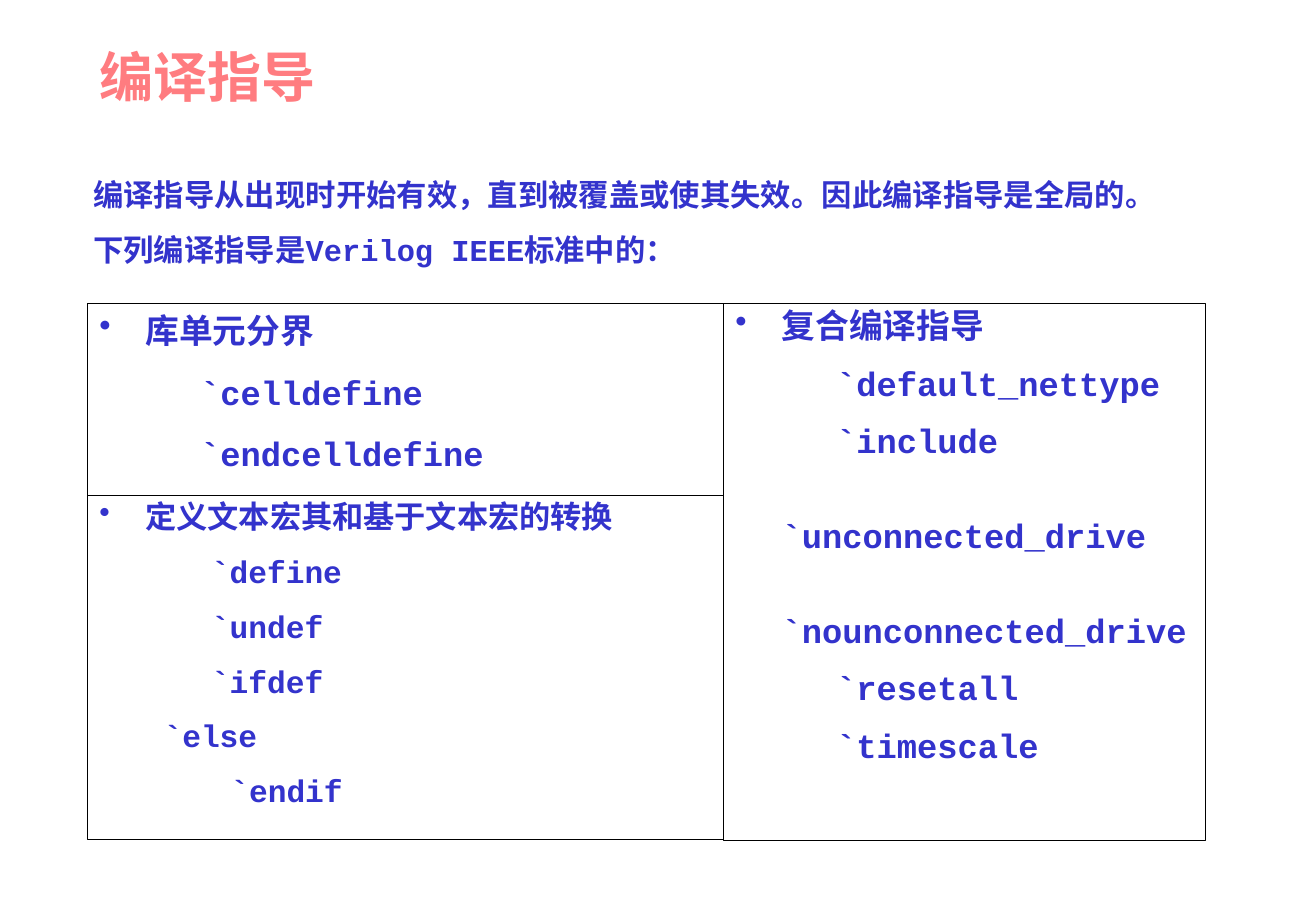
from dataclasses import dataclass

from lxml.etree import SubElement
from pptx import Presentation
from pptx.dml.color import RGBColor
from pptx.enum.shapes import MSO_SHAPE
from pptx.enum.text import MSO_ANCHOR, MSO_AUTO_SIZE, PP_ALIGN
from pptx.oxml.ns import qn
from pptx.slide import Slide
from pptx.util import Emu, Pt

PX = 9144  # 100 px to the inch
CORAL = RGBColor(0xFF, 0x7C, 0x80)
BLUE = RGBColor(0x33, 0x33, 0xCC)
BLACK = RGBColor(0, 0, 0)
TITLE_FONT = "Times New Roman"
BODY_FONT = "Courier New"
BULLET_INDENT = 38
BOX_GAP = 12.5
INTRO_GAP = 11.2

INTRO = (
    "编译指导从出现时开始有效，直到被覆盖或使其失效。因此编译指导是全局的。",
    "下列编译指导是Verilog IEEE标准中的：",
)


@dataclass(frozen=True)
class Directive:
    name: str
    indent: int = 83
    gap: float = BOX_GAP


@dataclass(frozen=True)
class DirectiveBox:
    left: int
    top: int
    width: int
    height: int
    heading: str
    directives: tuple[Directive, ...]
    size: float = 20
    line_spacing: float = 0.9


BOXES = (
    DirectiveBox(72, 250, 524, 158, "库单元分界",
                 (Directive("`celldefine"), Directive("`endcelldefine")),
                 line_spacing=1.0),
    DirectiveBox(596, 250, 397, 442, "复合编译指导",
                 (Directive("`default_nettype"),
                  Directive("`include"),
                  Directive("`unconnected_drive", BULLET_INDENT, 34.5),
                  Directive("`nounconnected_drive", BULLET_INDENT, 34.5),
                  Directive("`resetall"),
                  Directive("`timescale"))),
    DirectiveBox(72, 408, 524, 283, "定义文本宏其和基于文本宏的转换",
                 (Directive("`define", 92),
                  Directive("`undef", 92),
                  Directive("`ifdef", 92),
                  Directive("`else", 53),
                  Directive("`endif", 108)),
                 size=18.5),
)


def px(length: int) -> Emu:
    return Emu(length * PX)


def place(shape, left: int, top: int, width: int, height: int) -> None:
    shape.left, shape.top = px(left), px(top)
    shape.width, shape.height = px(width), px(height)


def style(paragraph, size: float, name: str = BODY_FONT, color: RGBColor = BLUE) -> None:
    paragraph.alignment = PP_ALIGN.LEFT
    font = paragraph.font
    font.size, font.name, font.bold = Pt(size), name, True
    font.color.rgb = color


def set_indent(paragraph, margin: int, bullet: bool = False) -> None:
    properties = paragraph._p.get_or_add_pPr()
    properties.set("marL", str(px(margin)))
    properties.set("indent", str(px(-margin if bullet else 0)))
    if bullet:
        SubElement(properties, qn("a:buChar")).set("char", "•")
    else:
        SubElement(properties, qn("a:buNone"))


def add_title(slide: Slide) -> None:
    title = slide.shapes.title
    place(title, 72, 0, 632, 125)
    frame = title.text_frame
    frame.text = "编译指导"
    frame.vertical_anchor = MSO_ANCHOR.MIDDLE
    frame.auto_size = MSO_AUTO_SIZE.NONE
    style(frame.paragraphs[0], 32, TITLE_FONT, CORAL)


def add_intro(slide: Slide) -> None:
    frame = slide.shapes.add_textbox(px(67), px(140), px(930), px(86)).text_frame
    frame.word_wrap = True
    frame.text = "\n".join(INTRO)
    for index, paragraph in enumerate(frame.paragraphs):
        if index:
            paragraph.space_before = Pt(INTRO_GAP)
        style(paragraph, 18)


def add_directive_box(slide: Slide, box: DirectiveBox) -> None:
    shape = slide.shapes.add_shape(MSO_SHAPE.RECTANGLE, px(box.left), px(box.top),
                                   px(box.width), px(box.height))
    shape.shadow.inherit = False
    shape.fill.background()
    shape.line.color.rgb = BLACK
    shape.line.width = Pt(0.75)
    frame = shape.text_frame
    frame.word_wrap = True
    frame.vertical_anchor = MSO_ANCHOR.TOP

    heading = frame.paragraphs[0]
    heading.text = box.heading
    set_indent(heading, BULLET_INDENT, bullet=True)
    for directive in box.directives:
        paragraph = frame.add_paragraph()
        paragraph.text = directive.name
        set_indent(paragraph, directive.indent)
        paragraph.space_before = Pt(directive.gap)
    for paragraph in frame.paragraphs:
        paragraph.line_spacing = box.line_spacing
        style(paragraph, box.size)


def main() -> None:
    presentation = Presentation()
    presentation.slide_width, presentation.slide_height = px(1084), px(750)
    slide = presentation.slides.add_slide(presentation.slide_layouts.get_by_name("Title Only"))
    add_title(slide)
    add_intro(slide)
    for box in BOXES:
        add_directive_box(slide, box)
    presentation.save("out.pptx")


if __name__ == "__main__":
    main()
